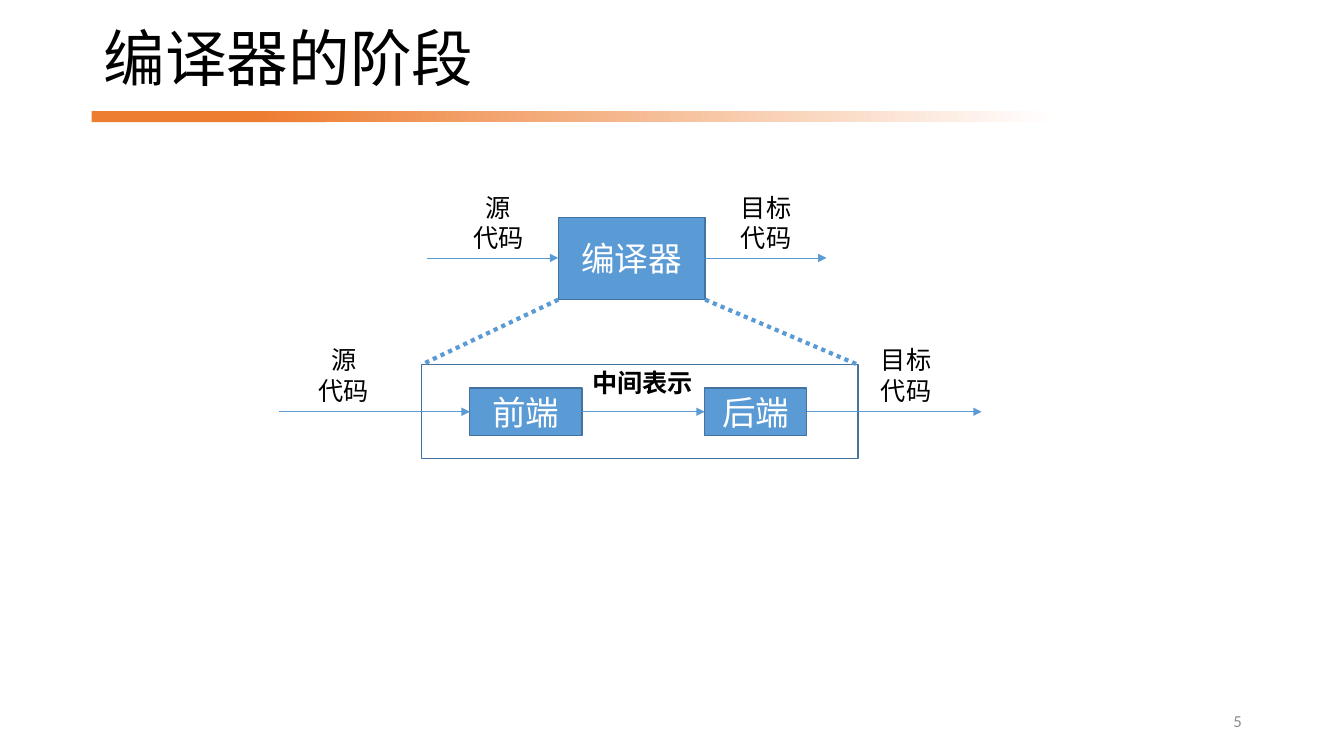
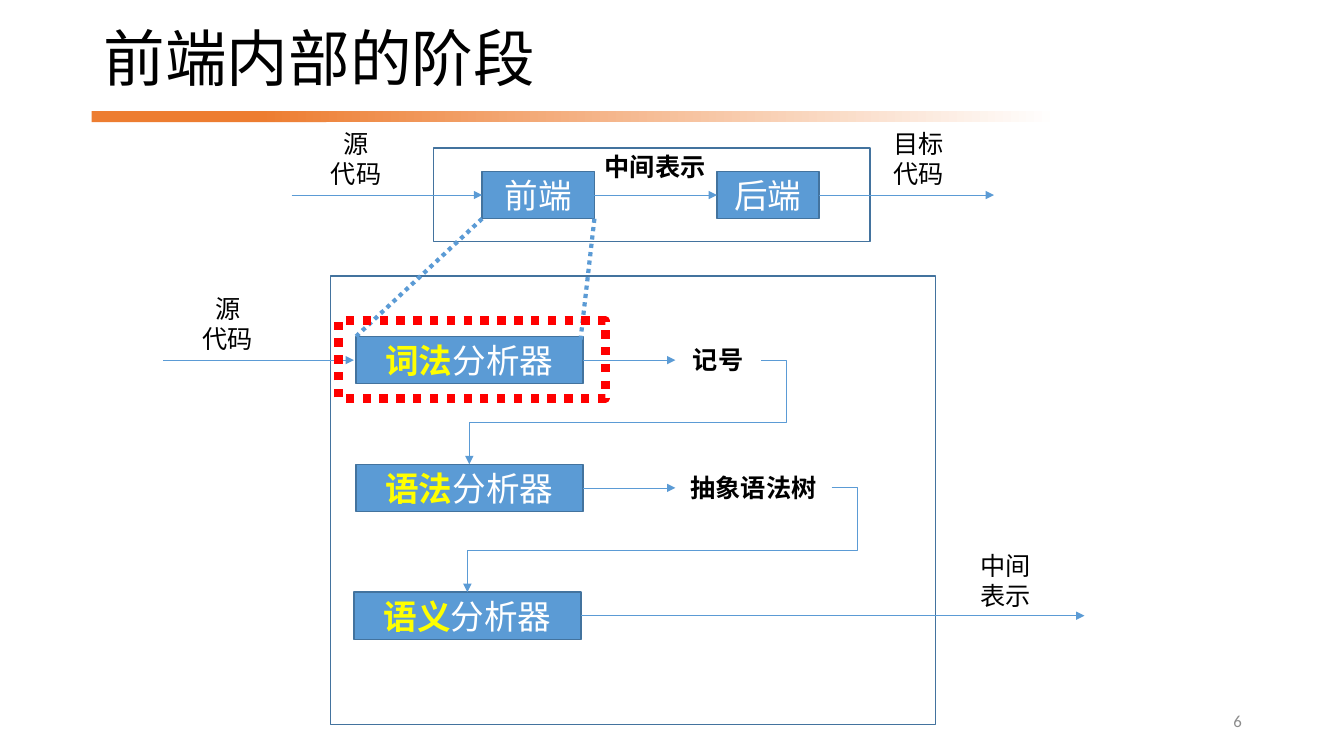
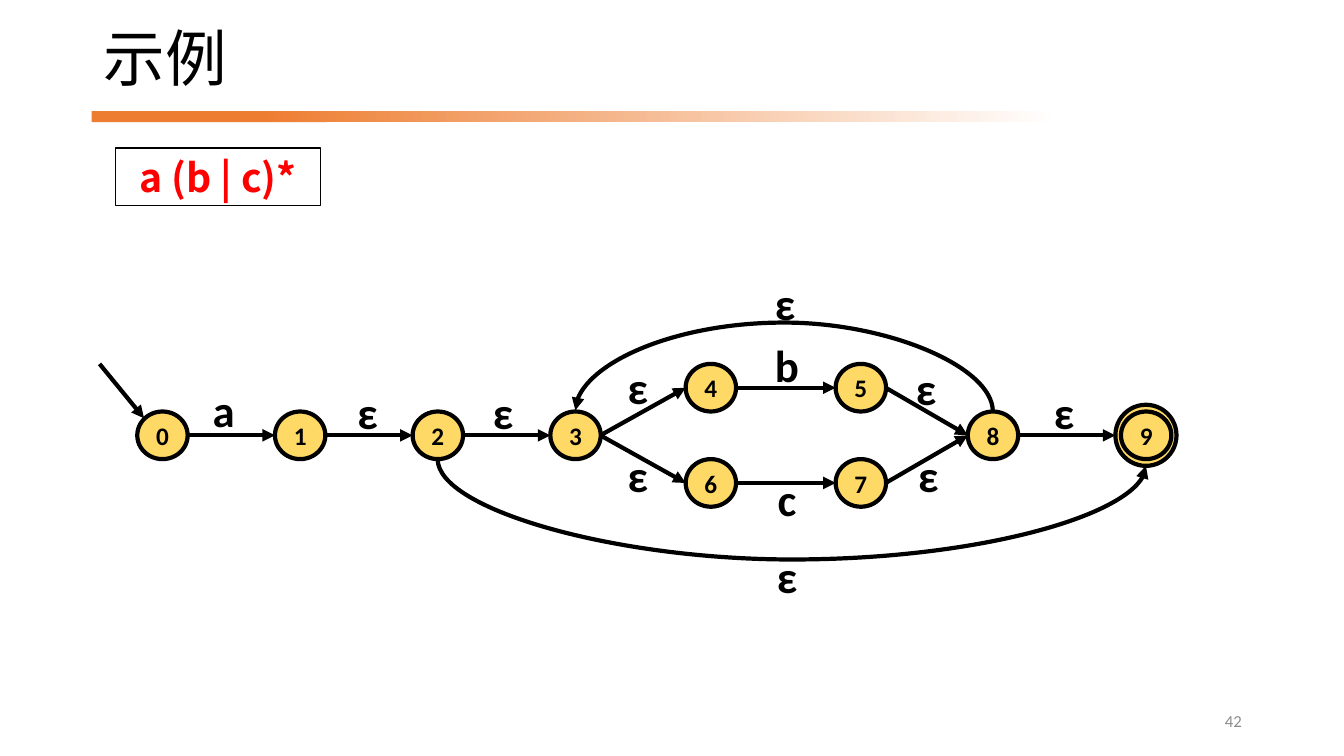
"""Three lecture slides on compiler phases and a small automaton."""
from dataclasses import dataclass

from lxml import etree
from pptx import Presentation
from pptx import util as u
from pptx.dml.color import RGBColor
from pptx.enum import dml, shapes, text
from pptx.oxml.ns import qn

# Shared look
CJK_FONT = "Noto Sans CJK SC"
LATIN_FONT = "Calibri"
BLACK, WHITE, RED, YELLOW = "000000", "FFFFFF", "FF0000", "FFFF00"
ORANGE, GREY, BLUE, BLUE_EDGE, GOLD = "ED7D31", "8C8C8C", "5B9BD5", "43739E", "FFD966"
LEFT, CENTER, RIGHT = text.PP_ALIGN.LEFT, text.PP_ALIGN.CENTER, text.PP_ALIGN.RIGHT
TOP, MIDDLE = text.MSO_ANCHOR.TOP, text.MSO_ANCHOR.MIDDLE
RECTANGLE = shapes.MSO_SHAPE.RECTANGLE
CIRCLE = shapes.MSO_SHAPE.FLOWCHART_CONNECTOR
DOTTED = dml.MSO_LINE.ROUND_DOT


@dataclass(frozen=True)
class Box:
    """A rectangle in centimetres."""
    left: float
    top: float
    width: float
    height: float

    @property
    def right(self) -> float:
        return self.left + self.width

    @property
    def bottom(self) -> float:
        return self.top + self.height

    @property
    def middle(self) -> float:
        return self.top + self.height / 2

    def lengths(self) -> list:
        return [u.Cm(v) for v in (self.left, self.top, self.width, self.height)]


@dataclass(frozen=True)
class Analyzer:
    """One front-end step, with the result it hands to the next step."""
    lead: str
    left: float
    result: str = ""
    result_width: float = 0


@dataclass(frozen=True)
class State:
    x: float
    y: float
    radius: float = 0.63


@dataclass(frozen=True)
class Edge:
    source: int
    target: int
    label: str
    label_left: float
    label_top: float


def rgb(value: str) -> RGBColor:
    return RGBColor.from_string(value)


# Text
def write(frame, words: str, *, size: float = 18, color: str = BLACK, font: str = CJK_FONT,
          bold: bool = False, align=LEFT, anchor=TOP, lead: str = "", spacing: float = 1) -> None:
    """Write words, one paragraph a line, after an optional highlighted lead."""
    frame.word_wrap = True
    frame.auto_size = text.MSO_AUTO_SIZE.NONE
    frame.vertical_anchor = anchor
    for index, line in enumerate(words.split("\n")):
        para = frame.add_paragraph() if index else frame.paragraphs[0]
        para.alignment, para.line_spacing = align, spacing
        pieces = [(line, color, bold)]
        if lead and index == 0:
            pieces.insert(0, (lead, YELLOW, True))
        for piece, piece_color, piece_bold in pieces:
            span = para.add_run()
            span.text = piece
            span.font.size, span.font.bold = u.Pt(size), piece_bold
            span.font.color.rgb = rgb(piece_color)
            span.font.name = font
            east_asian = etree.SubElement(span.font._element, qn("a:ea"))
            east_asian.set("typeface", CJK_FONT)


def add_label(page, box: Box, words: str, **style):
    label = page.shapes.add_textbox(*box.lengths())
    write(label.text_frame, words, **style)
    return label


# Shapes and lines
def add_block(page, box: Box, *, kind=RECTANGLE, fill: str = "", line: str = "",
              weight: float = 1, dash=None):
    block = page.shapes.add_shape(kind, *box.lengths())
    block.shadow.inherit = False
    if fill:
        block.fill.solid()
        block.fill.fore_color.rgb = rgb(fill)
    else:
        block.fill.background()
    if line:
        block.line.color.rgb = rgb(line)
        block.line.width = u.Pt(weight)
        block.line.dash_style = dash
    else:
        block.line.fill.background()
    return block


def add_stage(page, box: Box, words: str, lead: str = ""):
    """A blue box naming a compiler stage."""
    stage = add_block(page, box, fill=BLUE, line=BLUE_EDGE)
    write(stage.text_frame, words, size=24, color=WHITE, align=CENTER, anchor=MIDDLE, lead=lead)
    return stage


def add_line(page, start: tuple[float, float], end: tuple[float, float], *, color: str = BLUE,
             weight: float = 0.5, dash=None, arrow: bool = True,
             kind=shapes.MSO_CONNECTOR.STRAIGHT):
    line = page.shapes.add_connector(kind, *(u.Cm(v) for v in (*start, *end)))
    line.line.color.rgb = rgb(color)
    line.line.width = u.Pt(weight)
    line.line.dash_style = dash
    if arrow:
        etree.SubElement(line.line._get_or_add_ln(), qn("a:tailEnd")).set("type", "triangle")
    etree.SubElement(line._element.spPr, qn("a:effectLst"))
    return line


def add_zoom_line(page, start: tuple[float, float], end: tuple[float, float]) -> None:
    add_line(page, start, end, weight=3, dash=DOTTED, arrow=False)


def set_route(line, preset: str, *ratios: float) -> None:
    """Choose the connector preset and where it turns, as ratios of its box."""
    geometry = line._element.spPr.find(qn("a:prstGeom"))
    geometry.set("prst", preset)
    guides = geometry.find(qn("a:avLst"))
    if guides is None:
        guides = etree.SubElement(geometry, qn("a:avLst"))
    for number, ratio in enumerate(ratios, 1):
        guide = etree.SubElement(guides, qn("a:gd"))
        guide.set("name", f"adj{number}")
        guide.set("fmla", f"val {round(ratio * 100000)}")


def add_elbow(page, source, target) -> None:
    """Leave source on its right, go round and enter target from above."""
    line = add_line(page, (0, 0), (1, 1), kind=shapes.MSO_CONNECTOR.ELBOW)
    line.begin_connect(source, 3)
    line.end_connect(target, 0)
    set_route(line, "bentConnector4", -u.Cm(0.64) / line.width, 0.6)


def add_arc(page, start: tuple[float, float], end: tuple[float, float], peak: float) -> None:
    """A curve that leaves and arrives vertically and reaches the height peak."""
    mid_x, mid_y = (start[0] + end[0]) / 2, (start[1] + end[1]) / 2
    turned = [(mid_x - (y - mid_y), mid_y + (x - mid_x)) for x, y in (start, end)]
    line = add_line(page, *turned, color=BLACK, weight=3, kind=shapes.MSO_CONNECTOR.CURVE)
    line._element.spPr.find(qn("a:xfrm")).set("rot", str(270 * 60000))
    set_route(line, "curvedConnector3", (peak - start[1]) / (end[1] - start[1]))


# Slide frame: title, orange band and page number
def add_page(deck, heading: str, number: int):
    page = deck.slides.add_slide(deck.slide_layouts[5])
    add_block(page, Box(2.31, 2.8, 5.92, 0.28), fill=ORANGE)
    fade = add_block(page, Box(6.53, 2.8, 20.12, 0.28)).fill
    fade.gradient()
    fade.gradient_angle = 0
    for stop, color, position in zip(fade.gradient_stops, (ORANGE, WHITE), (0, 1)):
        stop.color.rgb = rgb(color)
        stop.position = position
    title = page.shapes.title
    title.left, title.top, title.width, title.height = Box(2.36, 0.43, 28.3, 2.26).lengths()
    write(title.text_frame, heading, size=44, font="Arial", anchor=MIDDLE, spacing=0.9)
    add_label(page, Box(23.93, 17.65, 7.62, 1.02), str(number), size=12, color=GREY,
              font=LATIN_FONT, align=RIGHT, anchor=MIDDLE)
    return page


def add_pipeline(page, left: float, top: float) -> tuple[Box, Box]:
    """Front end and back end in a frame; returns the frame and the front end."""
    frame = Box(left, top, 11, 2.36)
    front = Box(left + 1.22, top + 0.59, 2.83, 1.19)
    back = Box(left + 7.14, top + 0.59, 2.57, 1.19)
    add_block(page, frame, fill=WHITE, line=BLUE_EDGE)
    add_stage(page, front, "前端")
    add_stage(page, back, "后端")
    for start, end in ((left - 3.58, front.left), (front.right, back.left),
                       (back.right, left + 14.12)):
        add_line(page, (start, front.middle), (end, front.middle))
    add_label(page, Box(left - 3.25, top - 0.63, 2.59, 1.8), "源\n代码", align=CENTER)
    add_label(page, Box(left + 11.33, top - 0.63, 1.98, 1.8), "目标代码")
    add_label(page, Box(left + 4.06, top - 0.05, 3.23, 1.02), "中间表示", bold=True)
    return frame, front


def build_compiler(deck) -> None:
    page = add_page(deck, "编译器的阶段", 5)
    compiler = Box(14.07, 5.48, 3.7, 2.07)
    add_stage(page, compiler, "编译器")
    add_line(page, (10.77, 6.5), (compiler.left, 6.5))
    add_line(page, (compiler.right, 6.5), (20.83, 6.5))
    add_label(page, Box(11.66, 4.72, 1.8, 1.8), "源\n代码", align=CENTER)
    add_label(page, Box(18.42, 4.72, 1.8, 1.8), "目标代码")
    frame, _ = add_pipeline(page, 10.62, 9.19)
    add_zoom_line(page, (compiler.left, compiler.bottom), (frame.left, frame.top))
    add_zoom_line(page, (compiler.right, compiler.bottom), (frame.right, frame.top))


ANALYZERS = [
    Analyzer("词法", 8.97, "记号", 2.16),
    Analyzer("语法", 8.97, "抽象语法树", 3.94),
    Analyzer("语义", 8.92),
]


def build_front_end(deck) -> None:
    page = add_page(deck, "前端内部的阶段", 6)
    _, front = add_pipeline(page, 10.93, 3.73)
    add_block(page, Box(8.33, 6.96, 15.24, 11.3), fill=WHITE, line=BLUE_EDGE)
    boxes = [Box(step.left, 8.48 + 3.22 * row, 5.72, 1.19) for row, step in enumerate(ANALYZERS)]
    first, last = boxes[0], boxes[-1]

    # Each result feeds the next analyzer
    previous = None
    for step, box in zip(ANALYZERS, boxes):
        stage = add_stage(page, box, "分析器", lead=step.lead)
        if previous is not None:
            add_elbow(page, previous, stage)
        if step.result:
            add_line(page, (box.right, box.middle), (17.02, box.middle))
            previous = add_label(page, Box(17.02, box.top + 0.08, step.result_width, 1.02),
                                 step.result, bold=True, align=CENTER)

    # Input and output
    add_line(page, (4.11, first.middle), (8.92, first.middle))
    add_label(page, Box(4.45, 7.26, 2.59, 1.8), "源\n代码", align=CENTER)
    add_line(page, (last.right, last.middle), (27.33, last.middle))
    add_label(page, Box(24.46, 13.74, 1.98, 1.8), "中间表示")

    # Zoom from the front end, and the highlighted step
    add_zoom_line(page, (front.left, front.bottom), (first.left, first.top))
    add_zoom_line(page, (front.right, front.bottom), (14.63, 8.56))
    add_block(page, Box(8.53, 8.08, 6.73, 1.96), line=RED, weight=6, dash=DOTTED)


# Automaton: states on three rows, edges with their labels
AXIS, ROW_STEP, HALF_HEIGHT = 10.97, 1.2, 0.6
UPPER, LOWER = AXIS - ROW_STEP, AXIS + ROW_STEP
STATES = [State(4.09 + 3.47 * i, AXIS) for i in range(4)] + [
    State(17.91, UPPER), State(21.69, UPPER), State(17.91, LOWER), State(21.69, LOWER),
    State(25.02, AXIS), State(28.88, AXIS, 0.77),
]
EDGES = [
    Edge(0, 1, "a", 5.11, 9.53), Edge(1, 2, "ε", 8.76, 9.58), Edge(2, 3, "ε", 12.17, 9.58),
    Edge(3, 4, "ε", 15.57, 8.94), Edge(3, 6, "ε", 15.57, 11.15), Edge(4, 5, "b", 19.28, 8.38),
    Edge(6, 7, "c", 19.35, 11.76), Edge(5, 8, "ε", 22.83, 8.97), Edge(7, 8, "ε", 22.89, 11.15),
    Edge(8, 9, "ε", 26.31, 9.58),
]


def add_edge_label(page, words: str, left: float, top: float) -> None:
    add_label(page, Box(left, top, 0.99, 1.63), words, size=32, font=LATIN_FONT, bold=True)


def build_automaton(deck) -> None:
    page = add_page(deck, "示例", 42)
    formula = add_block(page, Box(2.92, 3.73, 5.16, 1.45), line=BLACK, weight=0.75)
    write(formula.text_frame, "a (b | c)*", size=28, color=RED, bold=True, align=CENTER)

    final = STATES[-1]
    ring = Box(final.x - 0.77, AXIS - 0.77, 1.54, 1.54)
    add_block(page, ring, kind=CIRCLE, fill=GOLD, line=BLACK, weight=3)
    for number, state in enumerate(STATES):
        box = Box(state.x - 0.63, state.y - HALF_HEIGHT, 1.27, 2 * HALF_HEIGHT)
        circle = add_block(page, box, kind=CIRCLE, fill=GOLD, line=BLACK, weight=3)
        write(circle.text_frame, str(number), font=LATIN_FONT, bold=True, align=CENTER,
              anchor=MIDDLE)

    add_line(page, (2.51, 9.17), (3.63, 10.54), color=BLACK, weight=3)
    for edge in EDGES:
        source, target = STATES[edge.source], STATES[edge.target]
        add_line(page, (source.x + source.radius, source.y),
                 (target.x - target.radius, target.y), color=BLACK, weight=3)
        add_edge_label(page, edge.label, edge.label_left, edge.label_top)

    # Skip the loop below, repeat it above
    add_arc(page, (STATES[2].x, AXIS + HALF_HEIGHT), (final.x, ring.bottom), 14.1)
    add_edge_label(page, "ε", 19.33, 13.69)
    add_arc(page, (STATES[8].x, AXIS - HALF_HEIGHT), (STATES[3].x, 10.34), 8.13)
    add_edge_label(page, "ε", 19.28, 6.83)


def main() -> None:
    deck = Presentation()
    deck.slide_width, deck.slide_height = u.Cm(33.87), u.Cm(19.05)
    build_compiler(deck)
    build_front_end(deck)
    build_automaton(deck)
    deck.save("out.pptx")


if __name__ == "__main__":
    main()
